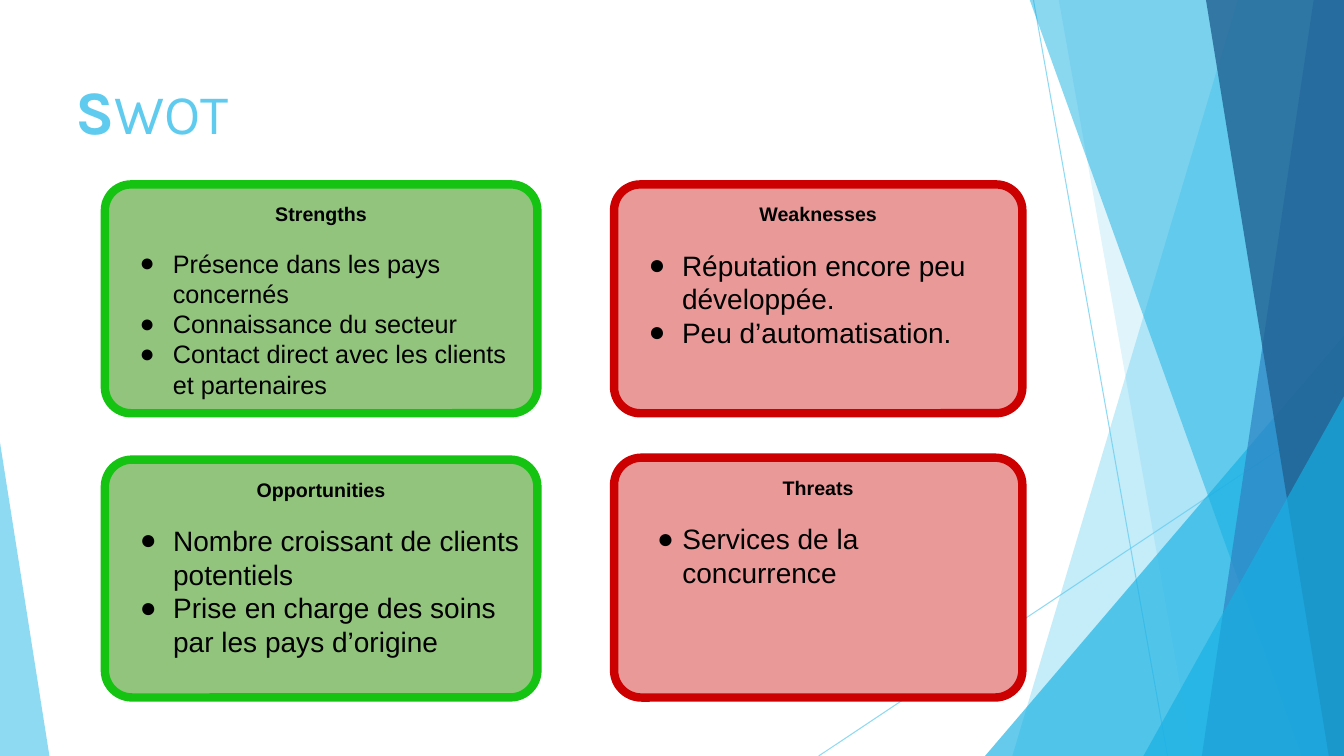
"""Build a SWOT slide with four bordered cards on a faceted blue background."""
from typing import NamedTuple

from lxml.etree import SubElement
from pptx import Presentation
from pptx.dml.color import RGBColor
from pptx.enum.shapes import MSO_CONNECTOR, MSO_SHAPE
from pptx.enum.text import MSO_ANCHOR, PP_ALIGN
from pptx.oxml.ns import qn
from pptx.util import Pt

PX = 9144
W, H = 1333, 750
COLORS = {
    "sky": "5FCBEF", "cyan": "16B0E3", "blue": "2E83C3", "navy": "226292",
    "black": "000000", "green": "93C47D", "green_edge": "15C313",
    "red": "EA9999", "red_edge": "CC0000",
}


class Ray(NamedTuple):
    x1: int
    y1: int
    x2: int
    y2: int


class Band(NamedTuple):
    top: int
    bottom_left: int
    bottom_right: int
    color: str
    alpha: int


class Corner(NamedTuple):
    x: int
    y: int
    w: int
    apex: int
    color: str
    alpha: int


class Card(NamedTuple):
    x: int
    y: int
    w: int
    h: int
    color: str
    heading: str
    items: tuple[str, ...]
    size: int = 20
    hang: int = 33


RAYS = (Ray(1025, 0, 1158, H), Ray(W, 403, 812, H))
FACETS = (
    Band(1228, 1004, W, "sky", 36),
    Band(1050, 1183, W, "sky", 20),
    Corner(977, 333, 356, 1, "cyan", 66),
    Band(1021, 1291, W, "cyan", 50),
    Band(1303, 1192, W, "blue", 70),
    Band(1196, 1318, W, "navy", 80),
    Corner(1134, 393, 199, 1, "cyan", 66),
    Corner(0, 439, 49, 0, "sky", 70),
)
LEFT, RIGHT = (104, 429), (609, 405)
CARDS = (
    Card(LEFT[0], 183, LEFT[1], 227, "green", "Strengths",
         ("Présence dans les pays concernés", "Connaissance du secteur",
          "Contact direct avec les clients et partenaires"), size=18),
    Card(RIGHT[0], 183, RIGHT[1], 227, "red", "Weaknesses",
         ("Réputation encore peu développée.", "Peu d’automatisation.")),
    Card(RIGHT[0], 454, RIGHT[1], 238, "red", "Threats",
         ("Services de la concurrence",), hang=25),
    Card(LEFT[0], 456, LEFT[1], 236, "green", "Opportunities",
         ("Nombre croissant de clients potentiels",
          "Prise en charge des soins par les pays d’origine")),
)


def rgb(name: str) -> RGBColor:
    return RGBColor.from_string(COLORS[name])


def paint(fill, color: str, alpha: int = 100) -> None:
    fill.solid()
    fill.fore_color.rgb = rgb(color)


def set_alpha(parent, alpha: int) -> None:
    clr = next(parent.iter(qn("a:srgbClr")))
    SubElement(clr, qn("a:alpha"), val=str(alpha * 1000))


def add_ray(s, ray: Ray) -> None:
    ln = s.shapes.add_connector(MSO_CONNECTOR.STRAIGHT, *(v * PX for v in ray))
    ln.line.width = Pt(0.75)
    paint(ln.line.fill, "sky")
    pr = ln._element.spPr
    set_alpha(pr, 70)
    SubElement(pr, qn("a:effectLst"))


def add_facet(s, facet: Band | Corner) -> None:
    if isinstance(facet, Band):
        fb = s.shapes.build_freeform(facet.top, -1, scale=PX)
        fb.add_line_segments(((W, -1), (facet.bottom_right, H),
                              (facet.bottom_left, H)), close=True)
        sp = fb.convert_to_shape()
    else:
        sp = s.shapes.add_shape(MSO_SHAPE.ISOSCELES_TRIANGLE, facet.x * PX, facet.y * PX,
                                facet.w * PX, (H - facet.y) * PX)
        sp.adjustments[0] = facet.apex
    sp.shadow.inherit = False
    sp.line.fill.background()
    paint(sp.fill, facet.color)
    set_alpha(sp._element.spPr, facet.alpha)


def add_text(p, text: str, *, size: int, font: str = "Arial",
             color: str = "black", bold: bool = False) -> None:
    r = p.add_run()
    r.text = text
    r.font.size, r.font.name, r.font.bold = Pt(size), font, bold
    r.font.color.rgb = rgb(color)


def set_frame(tf, side: int, edge: int) -> None:
    tf.word_wrap = True
    tf.vertical_anchor = MSO_ANCHOR.TOP
    tf.margin_left = tf.margin_right = side * PX
    tf.margin_top = tf.margin_bottom = edge * PX


def add_bullet(p, hang: int) -> None:
    pr = p._p.get_or_add_pPr()
    pr.set("marL", str(50 * PX))
    pr.set("indent", str(-hang * PX))
    SubElement(SubElement(pr, qn("a:buClr")), qn("a:srgbClr"), val=COLORS["black"])
    SubElement(pr, qn("a:buFont"), typeface="Arial")
    SubElement(pr, qn("a:buChar"), char="●")


def add_card(s, card: Card) -> None:
    sp = s.shapes.add_shape(MSO_SHAPE.ROUNDED_RECTANGLE, *(v * PX for v in card[:4]))
    sp.adjustments[0] = 0.114
    sp.shadow.inherit = False
    paint(sp.fill, card.color)
    paint(sp.line.fill, f"{card.color}_edge")
    sp.line.width = Pt(6)
    tf = sp.text_frame
    set_frame(tf, 10, 10)
    p = tf.paragraphs[0]
    p.alignment = PP_ALIGN.CENTER
    p.space_after = Pt(16)
    add_text(p, card.heading, size=14, bold=True)
    for item in card.items:
        p = tf.add_paragraph()
        p.alignment = PP_ALIGN.LEFT
        add_bullet(p, card.hang)
        add_text(p, item, size=card.size)


def add_title(s) -> None:
    tf = s.shapes.add_textbox(65 * PX, 67 * PX, 940 * PX, 103 * PX).text_frame
    set_frame(tf, 10, 5)
    p = tf.paragraphs[0]
    add_text(p, "S", size=44, font="Karla", color="sky", bold=True)
    add_text(p, "WOT", size=40, font="Karla", color="sky")


def main() -> None:
    prs = Presentation()
    prs.slide_width, prs.slide_height = W * PX, H * PX
    s = prs.slides.add_slide(prs.slide_layouts[6])
    for ray in RAYS:
        add_ray(s, ray)
    for facet in FACETS:
        add_facet(s, facet)
    add_title(s)
    for card in CARDS:
        add_card(s, card)
    prs.save("out.pptx")


if __name__ == "__main__":
    main()
